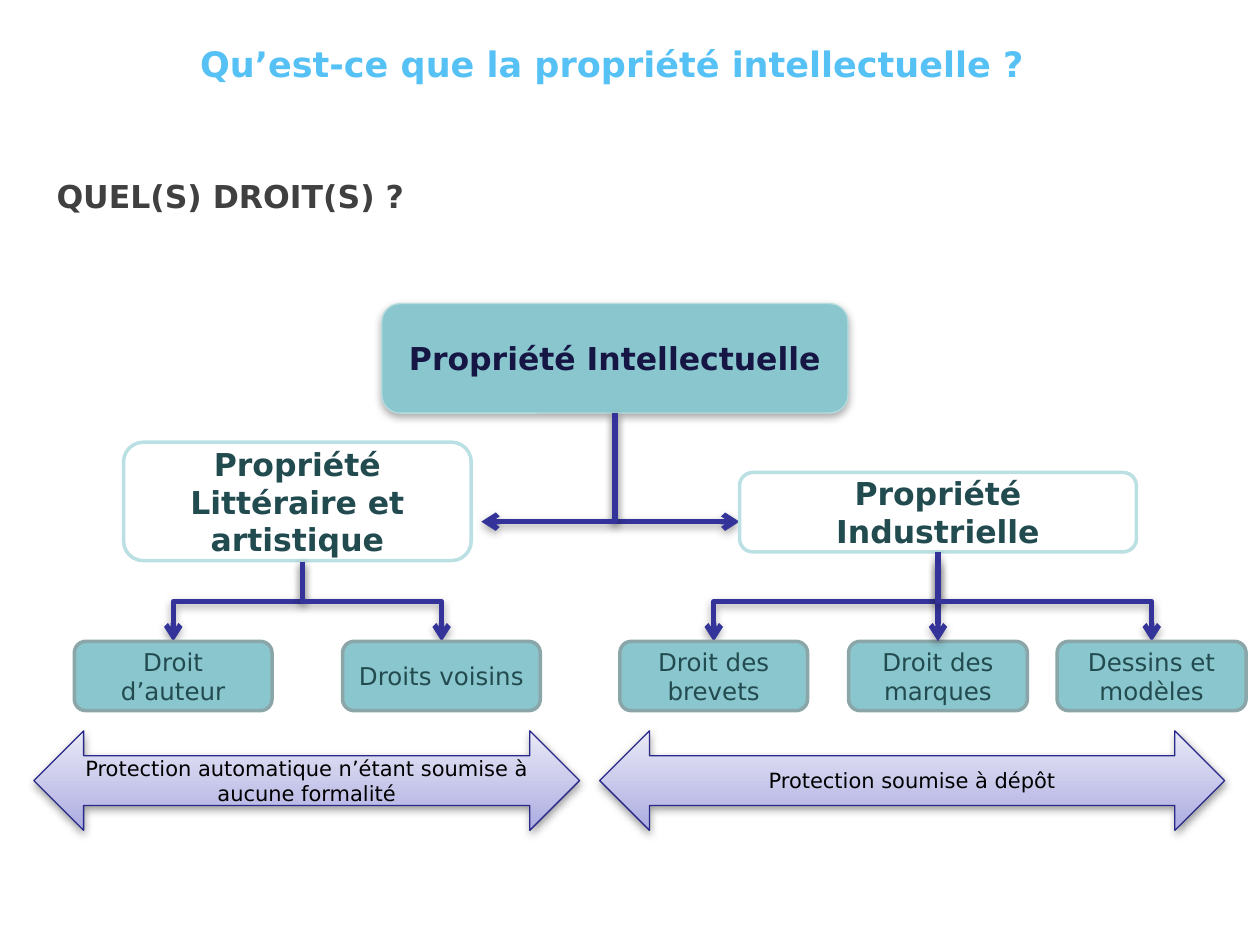
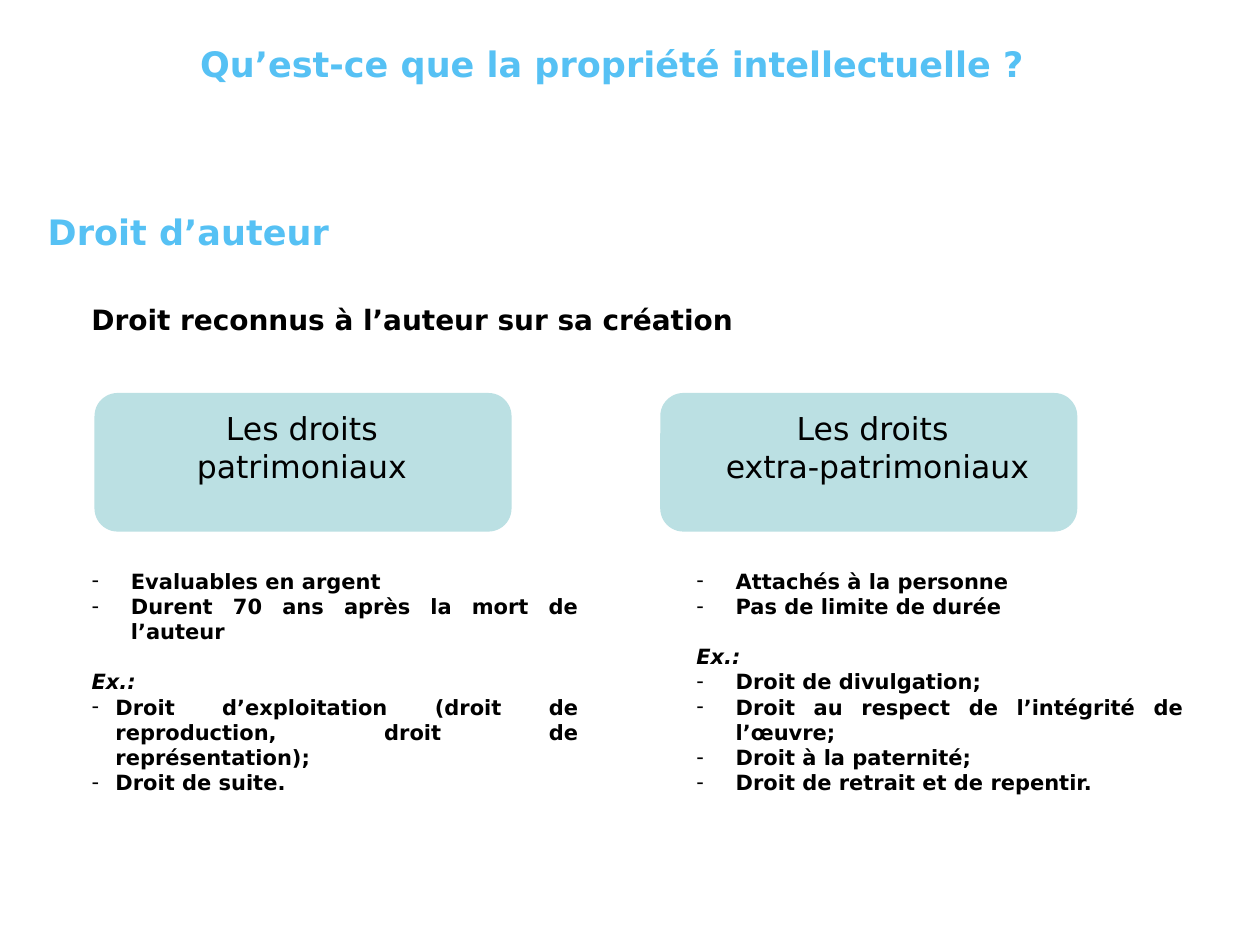
from lxml import etree
from pptx import Presentation
from pptx.dml.color import RGBColor
from pptx.enum.dml import MSO_LINE
from pptx.enum.shapes import MSO_CONNECTOR, MSO_SHAPE
from pptx.enum.text import MSO_ANCHOR, PP_ALIGN
from pptx.oxml.ns import qn
from pptx.util import Pt

FONT = "DejaVu Sans"
SKY, BLACK, GREY, WHITE = "56C1F4", "000000", "404040", "FFFFFF"
TEAL, PALE, EDGE, DARK = "8AC6CD", "BBE0E3", "8AA6A8", "224B50"
NAVY, INK, BLUE = "161645", "292989", "333399"
TITLE = "Qu’est-ce que la propriété intellectuelle ?"


def color(value):
    return RGBColor.from_string(value)


def node(parent, tag, **attrs):
    child = etree.SubElement(parent, qn(tag))
    for key, value in attrs.items():
        child.set(key, str(value))
    return child


class Deck:
    def __init__(self):
        self.prs = Presentation()
        self.prs.slide_width, self.prs.slide_height = Pt(720), Pt(540)
        self.slide = None

    def page(self):
        self.slide = self.prs.slides.add_slide(self.prs.slide_layouts[6])
        self.text(8.6, 9.4, 610.6, 69, TITLE, 20, SKY, bold=True, left=105.7, top=15)

    def style(self, para, size, tint, bold=False, italic=False, align=PP_ALIGN.LEFT):
        para.alignment = align
        for run in para.runs:
            font = run.font
            font.name, font.size = FONT, Pt(size)
            font.bold, font.italic = bold, italic
            font.color.rgb = color(tint)

    def text(self, x, y, w, h, words, size, tint, bold=False,
             align=PP_ALIGN.LEFT, left=7.2, top=3.6):
        box = self.slide.shapes.add_textbox(Pt(x), Pt(y), Pt(w), Pt(h))
        frame = box.text_frame
        frame.word_wrap = True
        frame.margin_left, frame.margin_top = Pt(left), Pt(top)
        frame.text = words
        for para in frame.paragraphs:
            self.style(para, size, tint, bold, align=align)
        return frame

    def shade(self, props, alpha):
        effects = props.find(qn("a:effectLst"))
        if effects is None:
            effects = node(props, "a:effectLst")
        outer = node(effects, "a:outerShdw", blurRad=Pt(5), dist=Pt(1.8),
                     dir=90 * 60000, rotWithShape=0)
        node(node(outer, "a:srgbClr", val=BLACK), "a:alpha", val=alpha * 1000)

    def box(self, x, y, w, h, words="", size=18, tint=DARK, fill=WHITE, edge=None,
            width=2, bold=False, kind=MSO_SHAPE.ROUNDED_RECTANGLE, shadow=0):
        shape = self.slide.shapes.add_shape(kind, Pt(x), Pt(y), Pt(w), Pt(h))
        shape.shadow.inherit = False
        if isinstance(fill, tuple):
            shape.fill.gradient()
            shape.fill.gradient_angle = 90
            for stop, shade in zip(shape.fill.gradient_stops, fill):
                stop.color.rgb = color(shade)
        else:
            shape.fill.solid()
            shape.fill.fore_color.rgb = color(fill)
        if edge:
            shape.line.color.rgb = color(edge)
            shape.line.width = Pt(width)
        else:
            shape.line.fill.background()
        if shadow:
            self.shade(shape.element.spPr, shadow)
        frame = shape.text_frame
        frame.word_wrap = True
        frame.vertical_anchor = MSO_ANCHOR.MIDDLE
        if words:
            frame.text = words
            self.style(frame.paragraphs[0], size, tint, bold, align=PP_ALIGN.CENTER)
        return shape

    def link(self, kind, x1, y1, x2, y2):
        line = self.slide.shapes.add_connector(kind, Pt(x1), Pt(y1), Pt(x2), Pt(y2))
        line.line.color.rgb = color(BLUE)
        line.line.width = Pt(3)
        line.line.dash_style = MSO_LINE.SOLID
        props = line.element.spPr
        node(props.find(qn("a:ln")), "a:tailEnd", type="arrow")
        self.shade(props, 35)
        return line

    def elbow(self, x1, y1, x2, y2, form="bentConnector3"):
        # The bend leaves downwards, so the frame is turned a quarter
        w, h = y2 - y1, abs(x2 - x1)
        x, y = (x1 + x2 - w) / 2, (y1 + y2 - h) / 2
        line = self.link(MSO_CONNECTOR.ELBOW, x, y, x + w, y + h)
        props = line.element.spPr
        frame = props.find(qn("a:xfrm"))
        frame.set("rot", str((270 if x2 > x1 else 90) * 60000))
        if x2 > x1:
            frame.set("flipH", "1")
        props.find(qn("a:prstGeom")).set("prst", form)

    def join(self, upper, lower):
        line = self.link(MSO_CONNECTOR.STRAIGHT, 0, 0, 1, 1)
        line.begin_connect(upper, 2)
        line.end_connect(lower, 0)

    def points(self, x, y, w, h, traits, cases, hang):
        """List traits, then examples whose text hangs by the given indent."""
        frame = self.text(x, y, w, h, "\n".join([*traits, "Ex.:", *cases]), 12, BLACK)
        for i, para in enumerate(frame.paragraphs):
            label = i == len(traits)
            indent = 0 if label else 22.5 if i < len(traits) else hang
            props = para._p.get_or_add_pPr()
            props.set("marL", str(Pt(25 + indent)))
            props.set("indent", str(Pt(-indent)))
            if label:
                para.space_before = Pt(14.4)
            else:
                node(props, "a:buFont", typeface=FONT)
                node(props, "a:buChar", char="-")
            self.style(para, 12, BLACK, True, label, PP_ALIGN.JUSTIFY)


def rights(deck):
    deck.page()
    deck.text(25.2, 71.3, 323.3, 211, "QUEL(S) DROIT(S) ?", 18, GREY, True, top=30)

    # Root and its two branches
    deck.box(218.2, 173.5, 266.4, 62.6, "Propriété Intellectuelle", tint=NAVY,
             fill=TEAL, edge="B6DCDF", width=0.75, bold=True, shadow=35)
    for end in (422.6, 275):
        deck.elbow(351.4, 236.2, end, 298.1, "bentConnector2")
    deck.box(70.6, 252.7, 198.7, 67.7, "Propriété Littéraire et artistique",
             edge=PALE, bold=True)
    trade = deck.box(422.6, 270, 226.8, 45.4, "Propriété Industrielle",
                     edge=PALE, bold=True)

    # Rights under each branch: stem, left, width, name
    top = 366.5
    leaves = [
        (172.8, 42.5, 113, "Droit d’auteur"),
        (172.8, 195.8, 113, "Droits voisins"),
        (536, 354.2, 107.3, "Droit des brevets"),
        (None, 484.9, 102.2, "Droit des marques"),
        (536, 604.1, 108, "Dessins et modèles"),
    ]
    for stem, x, w, name in leaves:
        if stem:
            deck.elbow(stem, 321, x + w / 2, top)
        leaf = deck.box(x, top, w, 39.6, name, 14, fill=TEAL, edge=EDGE)
        if not stem:
            deck.join(trade, leaf)

    # Kinds of protection
    for x, w, words in (
        (19.4, 311.8, "Protection automatique n’étant soumise à aucune formalité"),
        (342.7, 357.1, "Protection soumise à dépôt"),
    ):
        deck.box(x, 417.6, w, 56.9, words, 12, BLACK, ("ACACE1", "E9E9F7"), INK, 0.75,
                 kind=MSO_SHAPE.LEFT_RIGHT_ARROW, shadow=38)


def author(deck):
    deck.page()
    frame = deck.text(20.2, 116.6, 640, 162.7, "Droit d’auteur", 20, SKY, True)
    lead = frame.add_paragraph()
    lead.text = "Droit reconnus à l’auteur sur sa création"
    lead.space_before = Pt(29)
    lead._p.get_or_add_pPr().set("marL", str(Pt(25)))
    deck.style(lead, 16, BLACK, True, align=PP_ALIGN.JUSTIFY)

    # Two families of rights
    for x, inner, words in (
        (54, 70.6, "Les droits patrimoniaux"),
        (377.3, 399.6, "Les droits \nextra-patrimoniaux"),
    ):
        deck.box(x, 224.6, 238.3, 79.2, fill=PALE)
        deck.text(inner, 230.4, 203.8, 51, words, 18, BLACK, align=PP_ALIGN.CENTER)

    deck.points(
        20.2, 321.1, 317.5, 162.7,
        ["Evaluables en argent", "Durent 70 ans après la mort de l’auteur"],
        ["Droit d’exploitation (droit de reproduction, droit de représentation);",
         "Droit de suite."], 13.7)
    deck.points(
        365.8, 321.1, 317.5, 177,
        ["Attachés à la personne", "Pas de limite de durée"],
        ["Droit de divulgation;", "Droit au respect de l’intégrité de l’œuvre;",
         "Droit à la paternité;", "Droit de retrait et de repentir."], 22.5)


def main():
    deck = Deck()
    rights(deck)
    author(deck)
    deck.prs.save("out.pptx")


if __name__ == "__main__":
    main()
